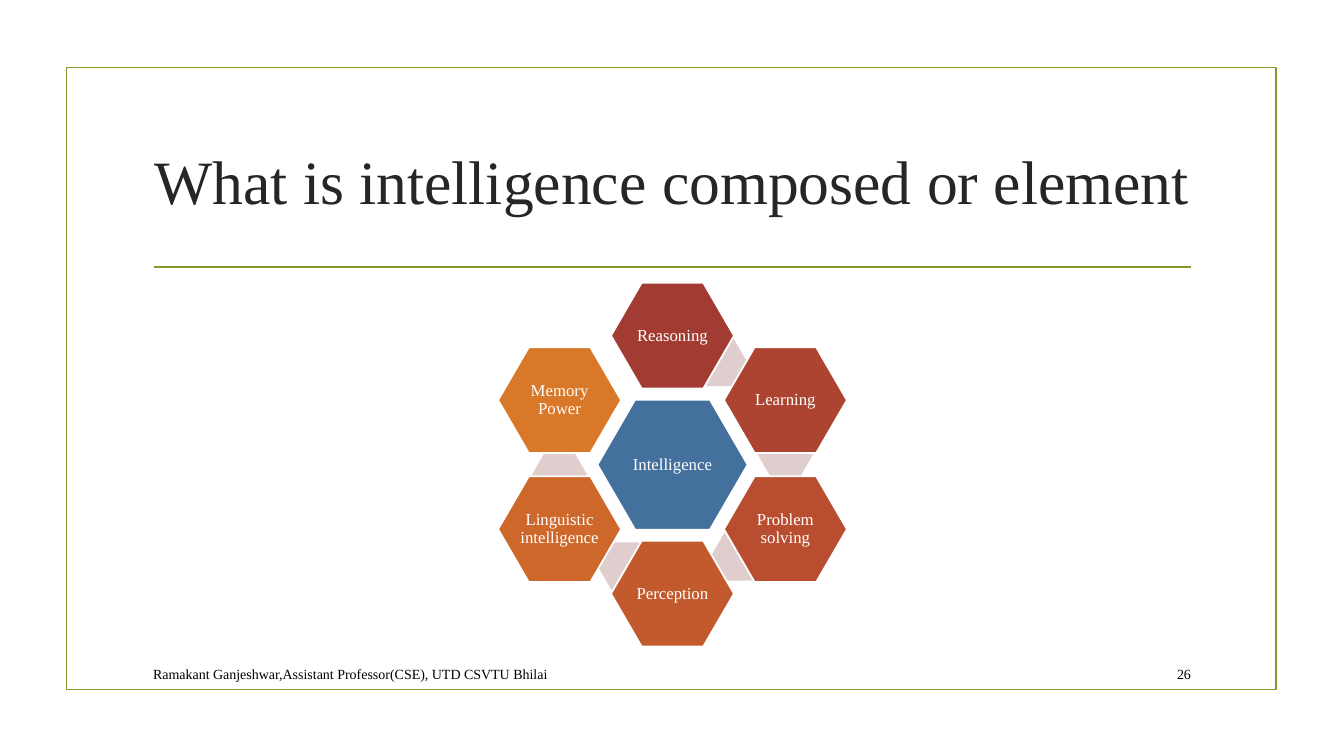
from lxml import etree
from pptx import Presentation
from pptx.dml.color import RGBColor
from pptx.enum.shapes import MSO_CONNECTOR, MSO_SHAPE
from pptx.enum.text import MSO_ANCHOR, MSO_AUTO_SIZE, PP_ALIGN
from pptx.oxml.ns import qn
from pptx.util import Pt

LEFT, CENTER, RIGHT = PP_ALIGN.LEFT, PP_ALIGN.CENTER, PP_ALIGN.RIGHT
MIDDLE = MSO_ANCHOR.MIDDLE
RECTANGLE, HEXAGON = MSO_SHAPE.RECTANGLE, MSO_SHAPE.HEXAGON
STRAIGHT = MSO_CONNECTOR.STRAIGHT
NO_AUTO_SIZE = MSO_AUTO_SIZE.NONE

PX = 9144
FONT = "Times New Roman"
COLORS = {
    "rule": "83992A", "title": "262626", "black": "000000", "white": "FFFFFF",
    "core": "44709D", "link": "E0CECE",
    "reasoning": "A23C33", "learning": "AD4431", "problem": "B84E2F",
    "perception": "C35A2D", "linguistic": "CE682A", "memory": "D97828",
}

TITLE = "What is intelligence composed or element"
CORE = "Intelligence"
ELEMENTS = [
    ("Reasoning", "reasoning", (0, -2), (46, -102)),
    ("Learning", "learning", (1, -1), (112, -11)),
    ("Problem solving", "problem", (1, 1), (66, 91)),
    ("Perception", "perception", (0, 2), (-46, 101)),
    ("Linguistic intelligence", "linguistic", (-1, 1), (-112, 11)),
    ("Memory Power", "memory", (-1, -1), None),
]
FOOTERS = [
    ("Ramakant Ganjeshwar,Assistant Professor(CSE), UTD CSVTU Bhilai", (142, 653, 799, 31), LEFT),
    ("26", (1132, 653, 59, 31), RIGHT),
]

SLIDE_SIZE = (1333, 750)
FRAME = (66, 67, 1200, 617)
TITLE_BOX = (142, 107, 1050, 143)
RULE = (153, 265, 1181, 265)
HUB = (667, 461)
STEP_X, STEP_Y = 112, 64
CORE_SIZE, ELEMENT_SIZE, LINK_SIZE = (149, 129), (122, 105), (56, 48)


def emu(values):
    return [value * PX for value in values]


def color(name):
    return RGBColor.from_string(COLORS[name])


def set_line(line, name):
    line.color.rgb = color(name)
    line.width = Pt(1.25)


def write(shape, text, size, name, align):
    frame = shape.text_frame
    frame.word_wrap = True
    frame.auto_size = NO_AUTO_SIZE
    frame.vertical_anchor = MIDDLE
    frame.text = text
    para = frame.paragraphs[0]
    para.alignment = align
    para.font.name = FONT
    para.font.size = Pt(size)
    para.font.color.rgb = color(name)
    return frame


def add_hexagon(page, offset, size, fill, text=None):
    left, top = (hub + move - length / 2 for hub, move, length in zip(HUB, offset, size))
    shape = page.shapes.add_shape(HEXAGON, *(round(value) for value in emu((left, top, *size))))
    shape.shadow.inherit = False
    shape.adjustments[0] = 0.29
    shape.fill.solid()
    shape.fill.fore_color.rgb = color(fill)
    if text is None:
        shape.line.fill.background()
        return
    set_line(shape.line, "white")
    frame = write(shape, text, 12, "white", CENTER)
    frame.margin_left = frame.margin_right = frame.margin_top = frame.margin_bottom = 0
    frame.paragraphs[0].line_spacing = 0.9


def main():
    deck = Presentation()
    deck.slide_width, deck.slide_height = emu(SLIDE_SIZE)
    page = deck.slides.add_slide(deck.slide_layouts[5])

    title = page.shapes.title
    title.left, title.top, title.width, title.height = emu(TITLE_BOX)
    write(title, TITLE, 44, "title", CENTER)

    border = page.shapes.add_shape(RECTANGLE, *emu(FRAME))
    border.shadow.inherit = False
    border.fill.background()
    set_line(border.line, "rule")

    rule = page.shapes.add_connector(STRAIGHT, *emu(RULE))
    set_line(rule.line, "rule")
    etree.SubElement(rule.element.spPr, qn("a:effectLst"))

    add_hexagon(page, (0, 0), CORE_SIZE, "core", CORE)
    for text, fill, (column, row), link in ELEMENTS:
        if link:
            add_hexagon(page, link, LINK_SIZE, "link")
        add_hexagon(page, (column * STEP_X, row * STEP_Y), ELEMENT_SIZE, fill, text)

    for text, place, align in FOOTERS:
        write(page.shapes.add_textbox(*emu(place)), text, 10, "black", align)

    deck.save("out.pptx")


if __name__ == "__main__":
    main()
